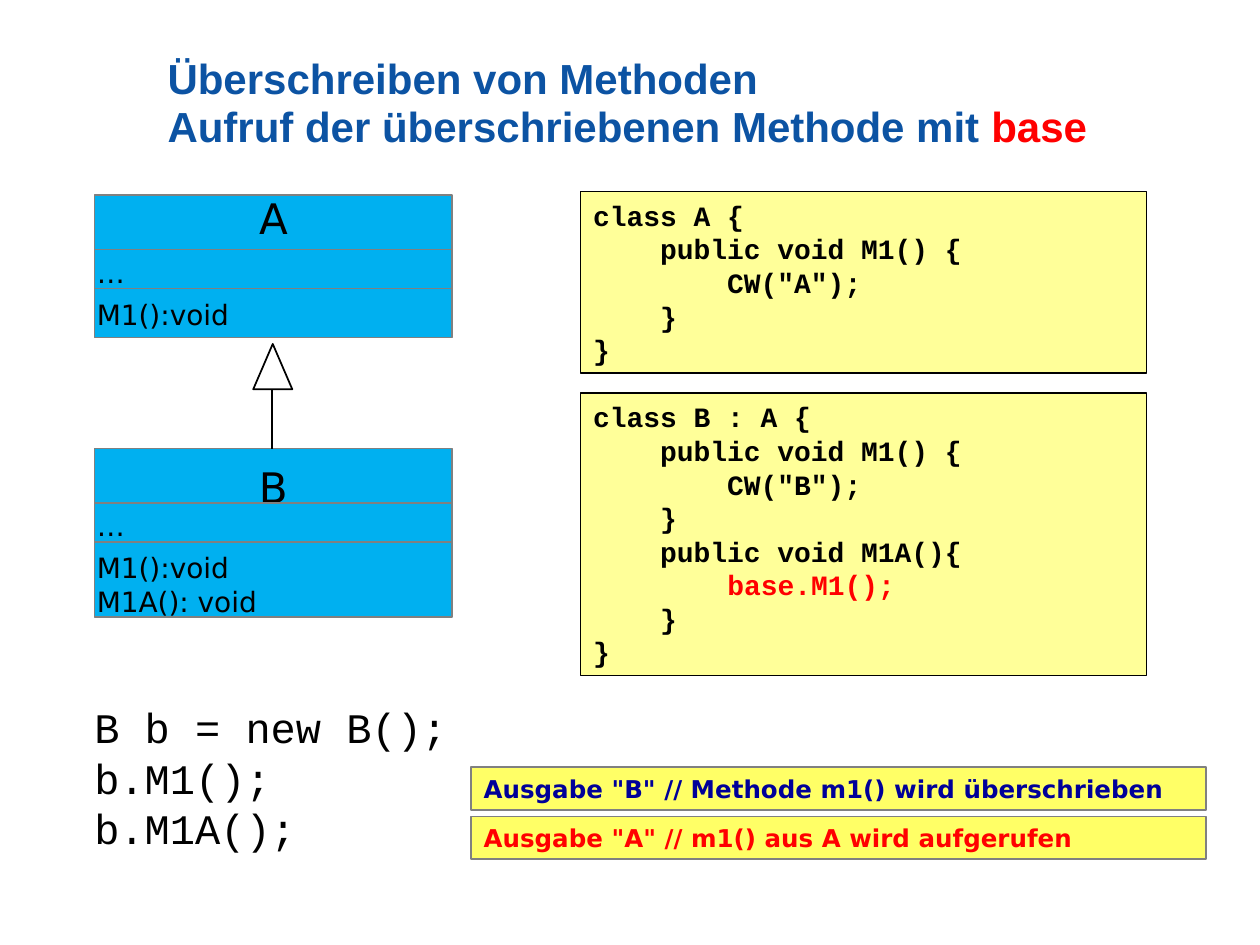
from lxml import etree
from pptx import Presentation
from pptx import util as u
from pptx.dml.color import RGBColor
from pptx.enum import shapes, text
from pptx.oxml.ns import qn

C = {"title": "0C53A3", "red": "FF0000", "navy": "000099", "black": "000000",
     "grey": "808080", "class": "00B0F0", "code": "FFFF99", "output": "FFFF66"}
RECT = shapes.MSO_SHAPE.RECTANGLE
MIDDLE, TOP = text.MSO_ANCHOR.MIDDLE, text.MSO_ANCHOR.TOP
LEFT, CENTER = text.PP_ALIGN.LEFT, text.PP_ALIGN.CENTER

prs = Presentation()
prs.slide_width, prs.slide_height = u.Inches(10), u.Inches(7.5)
s = prs.slides.add_slide(prs.slide_layouts[6])


def add_box(at, lines="", size=16, font="DejaVu Sans", color="black", bold=False,
            fill=None, line=None, width=1, preset=RECT, anchor=TOP, align=LEFT,
            insets=(0.1, 0.05, 0.1, 0.05), **paragraph):
    """Add a shape, or a text box if it has no line; '|' in a line starts red text."""
    place = [u.Inches(v) for v in at]
    if line:
        sp = s.shapes.add_shape(preset, *place)
        sp.shadow.inherit = False
        sp.line.color.rgb = RGBColor.from_string(C[line])
        sp.line.width = u.Pt(width)
        if fill:
            sp.fill.solid()
            sp.fill.fore_color.rgb = RGBColor.from_string(C[fill])
        else:
            sp.fill.background()
    else:
        sp = s.shapes.add_textbox(*place)
    tf = sp.text_frame
    tf.word_wrap, tf.vertical_anchor = True, anchor
    for side, inset in zip(("left", "top", "right", "bottom"), insets):
        setattr(tf, f"margin_{side}", u.Inches(inset))
    for i, content in enumerate(lines.split("\n") if lines else []):
        p = tf.paragraphs[0] if i == 0 else tf.add_paragraph()
        for name, value in {"alignment": align, **paragraph}.items():
            setattr(p, name, value)
        for part, shade in zip(content.split("|"), (color, "red")):
            if not part:
                continue
            # A vertical tab marks a line break inside the paragraph
            for j, piece in enumerate(part.split("\v")):
                if j:
                    p.add_line_break()
                r = p.add_run()
                r.text = piece
                for name, value in {"name": font, "size": u.Pt(size), "bold": bold}.items():
                    setattr(r.font, name, value)
                r.font.color.rgb = RGBColor.from_string(C[shade])


def add_line(x1, y1, x2, y2, color):
    ln = s.shapes.add_connector(shapes.MSO_CONNECTOR.STRAIGHT,
                                *[u.Inches(v) for v in (x1, y1, x2, y2)])
    ln.line.color.rgb = RGBColor.from_string(C[color])
    ln.line.width = u.Pt(1)
    etree.SubElement(ln._element.spPr, qn("a:effectLst"))


# Title and calling code
add_box((1.33, 0.33, 8.5, 1),
        "Überschreiben von Methoden\vAufruf der überschriebenen Methode mit |base",
        size=24, font="Arial", color="title", bold=True, anchor=MIDDLE,
        insets=(0, 0, 0, 0), line_spacing=0.95)
add_box((0.65, 5.52, 9.1, 1.7), "B b = new B();\vb.M1();\vb.M1A();",
        size=24, font="Courier New", space_after=u.Pt(15))

# Class diagram: name, fields and methods, one box per class
class_left, class_width = 0.75, 2.84
class_right = class_left + class_width
classes = [("A", 1.55, 1.13, -0.02, "M1():void"),
           ("B", 3.56, 1.34, 0.1, "M1():void\nM1A(): void")]
for name, top, height, name_inset, methods in classes:
    add_box((class_left, top, class_width, height), name, size=24, fill="class",
            line="grey", align=CENTER, insets=(0.1, name_inset, 0.1, 0))
    for offset in (0.43, 0.74):
        add_line(class_left, top + offset, class_right, top + offset, "grey")
    add_box((0.67, top + 0.43, 2.52, 0.37), "…")
    add_box((0.67, top + 0.76, 3.23, 0.37), methods)

# Inheritance arrow from B up to A
add_box((2.01, 2.73, 0.31, 0.36), line="black",
        preset=shapes.MSO_SHAPE.ISOSCELES_TRIANGLE)
add_line(2.16, 3.56, 2.16, 3.09, "black")

# Source code of both classes
code_a = """class A {
    public void M1() {
        CW("A");
    }
}"""
code_b = """class B : A {
    public void M1() {
        CW("B");
    }
    public void M1A(){
        |base.M1();
    }
}"""
for top, height, code in ((1.52, 1.44, code_a), (3.12, 2.24, code_b)):
    add_box((4.61, top, 4.49, height), code, font="Courier New", bold=True,
            fill="code", line="black", width=0.75, anchor=MIDDLE)

# Output of each call
outputs = [('Ausgabe "B" // Methode m1() wird überschrieben', "navy"),
           ('Ausgabe "A" // m1() aus A wird aufgerufen', "red")]
for row, (output, color) in enumerate(outputs):
    add_box((3.74, 6.09 + row * 0.39, 5.83, 0.34), output, size=14, color=color,
            bold=True, fill="output", line="grey", anchor=MIDDLE)

prs.save("out.pptx")
